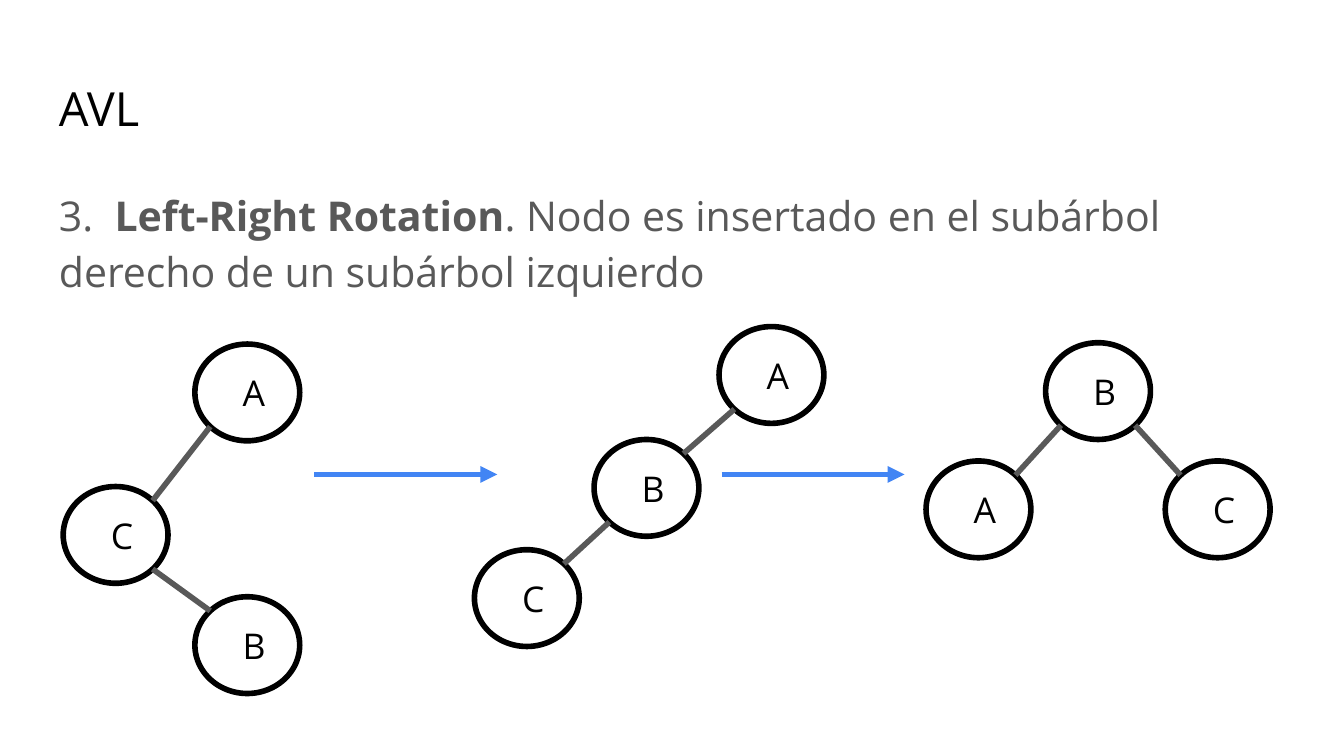
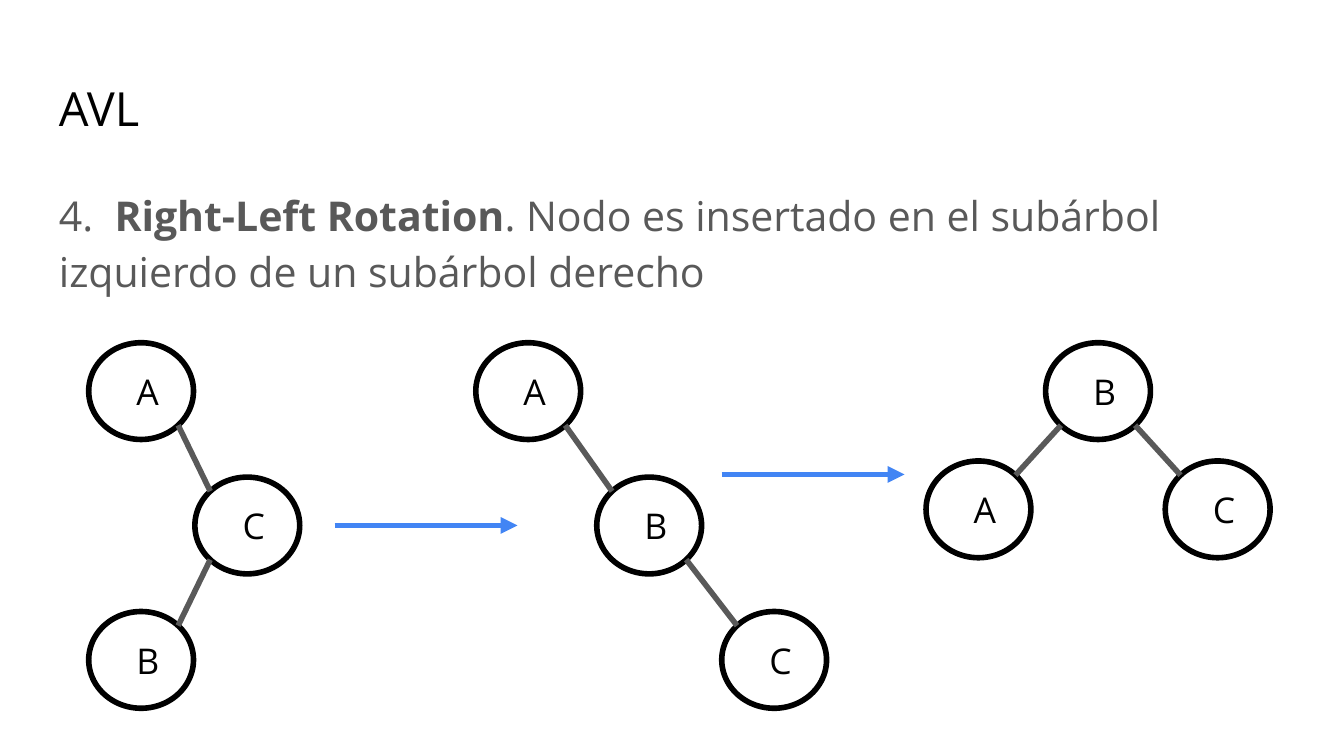
from dataclasses import dataclass
from math import copysign, sqrt

from lxml.etree import SubElement
from pptx import Presentation
from pptx.dml.color import RGBColor
from pptx.enum.shapes import MSO_CONNECTOR, MSO_SHAPE
from pptx.enum.text import MSO_ANCHOR, PP_ALIGN
from pptx.oxml.ns import qn
from pptx.util import Inches, Pt

# Shared style
FONT = "Open Sans"
BLACK, WHITE, GREY, BLUE = "000000", "FFFFFF", "595959", "4285F4"
STROKE = Pt(3)
PAGE_WIDTH = 10
PAGE_HEIGHT = PAGE_WIDTH * 9 / 16
NODE_WIDTH, NODE_HEIGHT = 0.78, 0.72
ARROW_LENGTH = 1.36


@dataclass(frozen=True)
class Node:
    label: str
    left: float
    top: float

    def corner_toward(self, other: "Node") -> tuple[float, float]:
        """Point on the outline, on the diagonal facing the other node."""
        reach_x = copysign(NODE_WIDTH / 2 / sqrt(2), other.left - self.left)
        reach_y = copysign(NODE_HEIGHT / 2 / sqrt(2), other.top - self.top)
        return (self.left + NODE_WIDTH / 2 + reach_x,
                self.top + NODE_HEIGHT / 2 + reach_y)


@dataclass(frozen=True)
class Tree:
    nodes: tuple[Node, ...]
    edges: tuple[str, ...]  # parent letter, then child letter


@dataclass(frozen=True)
class Arrow:
    left: float
    top: float


@dataclass(frozen=True)
class Rotation:
    number: str
    name: str
    explanation: str
    trees: tuple[Tree, ...]
    arrows: tuple[Arrow, ...]


# Both rotations end in the same balanced tree
BALANCED = Tree((Node("B", 7.78, 2.55), Node("A", 6.89, 3.43),
                 Node("C", 8.67, 3.43)), ("BA", "BC"))
LAST_ARROW = Arrow(5.37, 3.53)

ROTATIONS = (
    Rotation(
        "3. ", " Left-Right Rotation",
        ". Nodo es insertado en el subárbol derecho de un subárbol izquierdo",
        (Tree((Node("A", 1.45, 2.56), Node("C", 0.47, 3.62),
               Node("B", 1.45, 4.44)), ("AC", "CB")),
         Tree((Node("A", 5.35, 2.43), Node("B", 4.42, 3.27),
               Node("C", 3.53, 4.09)), ("AB", "BC")),
         BALANCED),
        (Arrow(2.34, 3.53), LAST_ARROW)),
    Rotation(
        "4. ", " Right-Left Rotation",
        ". Nodo es insertado en el subárbol izquierdo de un subárbol derecho",
        (Tree((Node("A", 0.66, 2.55), Node("C", 1.45, 3.55),
               Node("B", 0.66, 4.55)), ("AC", "CB")),
         Tree((Node("A", 3.54, 2.55), Node("B", 4.44, 3.55),
               Node("C", 5.37, 4.55)), ("AB", "BC")),
         BALANCED),
        (Arrow(2.49, 3.91), LAST_ARROW)),
)


def color(value: str) -> RGBColor:
    return RGBColor.from_string(value)


def set_frame(frame, anchor, left_margin: float = 0.1) -> None:
    frame.word_wrap = True
    frame.vertical_anchor = anchor
    frame.margin_left = Inches(left_margin)
    frame.margin_top = frame.margin_right = frame.margin_bottom = Inches(0.1)


def set_font(para, size: float, value: str) -> None:
    para.alignment = PP_ALIGN.LEFT
    para.font.name = FONT
    para.font.size = Pt(size)
    para.font.color.rgb = color(value)


def add_text(page, top: float, height: float, anchor, size: float,
             value: str, spans: tuple[tuple[str, bool], ...]):
    box = page.shapes.add_textbox(Inches(0.34), Inches(top),
                                  Inches(9.32), Inches(height))
    set_frame(box.text_frame, anchor)
    para = box.text_frame.paragraphs[0]
    set_font(para, size, value)
    for text, bold in spans:
        span = para.add_run()
        span.text = text
        span.font.bold = bold
    return para


def add_node(page, node: Node) -> None:
    circle = page.shapes.add_shape(
        MSO_SHAPE.OVAL, Inches(node.left), Inches(node.top),
        Inches(NODE_WIDTH), Inches(NODE_HEIGHT))
    circle.shadow.inherit = False
    circle.fill.solid()
    circle.fill.fore_color.rgb = color(WHITE)
    circle.line.color.rgb = color(BLACK)
    circle.line.width = STROKE
    set_frame(circle.text_frame, MSO_ANCHOR.MIDDLE, left_margin=0.24)
    para = circle.text_frame.paragraphs[0]
    para.text = node.label
    set_font(para, 19, BLACK)


def add_line(page, start: tuple[float, float], end: tuple[float, float],
             value: str, arrowhead: bool = False) -> None:
    line = page.shapes.add_connector(
        MSO_CONNECTOR.STRAIGHT, Inches(start[0]), Inches(start[1]),
        Inches(end[0]), Inches(end[1]))
    line.line.color.rgb = color(value)
    line.line.width = STROKE
    properties = line._element.spPr
    if arrowhead:
        SubElement(properties.find(qn("a:ln")), qn("a:tailEnd"), type="triangle")
    SubElement(properties, qn("a:effectLst"))


def add_tree(page, tree: Tree) -> None:
    for node in tree.nodes:
        add_node(page, node)
    by_label = {node.label: node for node in tree.nodes}
    for edge in tree.edges:
        parent, child = (by_label[letter] for letter in edge)
        add_line(page, parent.corner_toward(child),
                 child.corner_toward(parent), GREY)


def add_rotation(deck, rotation: Rotation) -> None:
    page = deck.slides.add_slide(deck.slide_layouts[6])
    # Title and explanation
    add_text(page, 0.49, 0.63, MSO_ANCHOR.MIDDLE, 25.2, BLACK, (("AVL", False),))
    body = add_text(page, 1.26, 3.74, MSO_ANCHOR.TOP, 22, GREY,
                    ((rotation.number, False), (rotation.name, True),
                     (rotation.explanation, False)))
    body.line_spacing = 1.15
    body.space_after = Pt(12)
    # Steps of the rotation
    for tree in rotation.trees:
        add_tree(page, tree)
    for arrow in rotation.arrows:
        add_line(page, (arrow.left, arrow.top),
                 (arrow.left + ARROW_LENGTH, arrow.top), BLUE, arrowhead=True)


def main() -> None:
    deck = Presentation()
    deck.slide_width, deck.slide_height = Inches(PAGE_WIDTH), Inches(PAGE_HEIGHT)
    for rotation in ROTATIONS:
        add_rotation(deck, rotation)
    deck.save("out.pptx")


if __name__ == "__main__":
    main()
